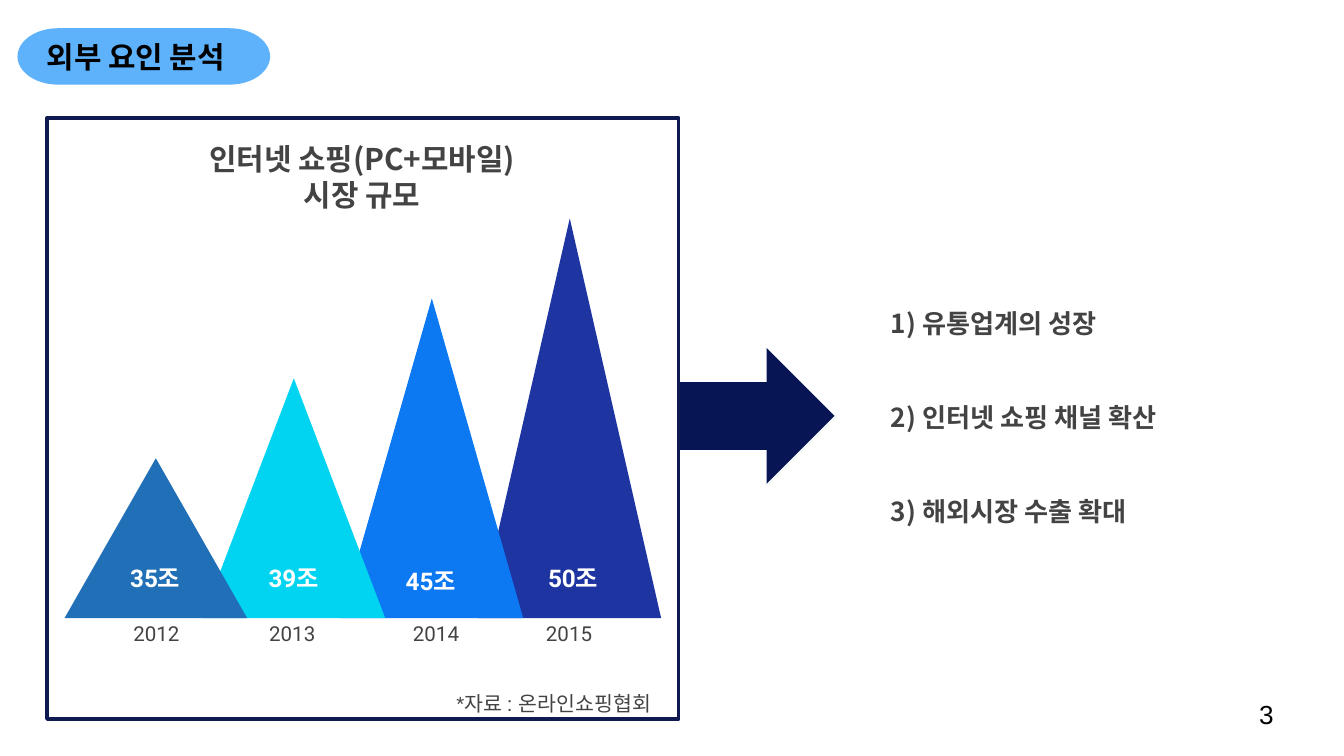
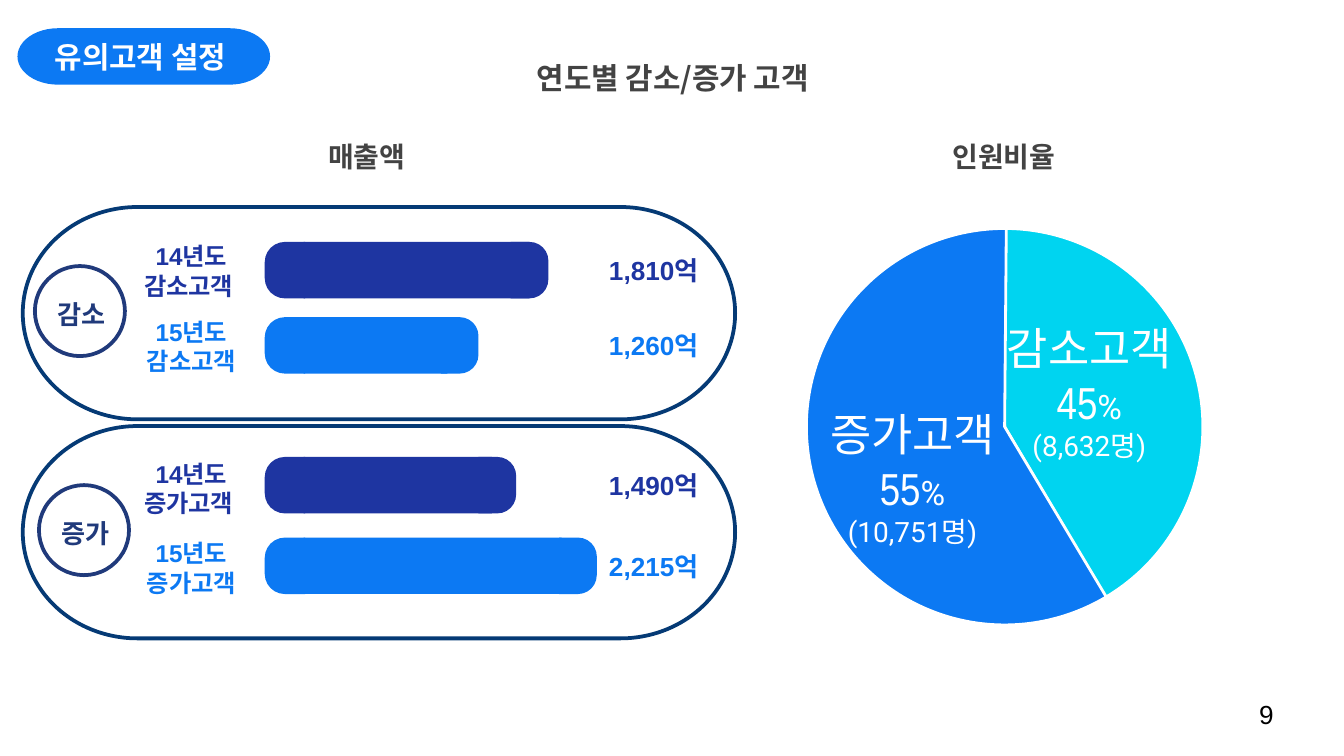
from dataclasses import dataclass

from pptx import Presentation
from pptx.dml.color import RGBColor
from pptx.enum.shapes import MSO_SHAPE as Preset
from pptx.enum.text import MSO_ANCHOR as Anchor, PP_ALIGN as Align
from pptx.oxml.ns import qn
from pptx.util import Inches, Pt


@dataclass(frozen=True)
class Theme:
    """Colours, fonts and type sizes used on every slide."""
    black: str = "000000"
    white: str = "FFFFFF"
    text: str = "434343"
    sky: str = "5EB2FC"
    steel: str = "2170B7"
    cyan: str = "00D4F0"
    blue: str = "0C79F3"
    indigo: str = "1E35A1"
    arrow: str = "071554"
    frame: str = "0F1A50"
    badge: str = "203A7B"
    capsule: str = "053A75"
    korean: str = "Noto Sans CJK KR"
    plain: str = "Arial"
    narrow: str = "Arial Narrow"
    modern: str = "Roboto"
    title: int = 16
    heading: int = 15
    body: int = 14
    label: int = 13
    small: int = 11
    large: int = 24
    percent: int = 18
    leading: float = 1.2


THEME = Theme()


@dataclass(frozen=True)
class Box:
    """A rectangle in inches."""
    left: float
    top: float
    width: float
    height: float

    def inner(self, left, top, width, height):
        """Return a box placed relative to this one."""
        return Box(self.left + left, self.top + top, width, height)

    def lengths(self):
        """Return the four lengths as slide units."""
        return [Inches(n) for n in (self.left, self.top, self.width, self.height)]


def add_shape(slide, preset, box, fill=None, line=None, weight=2, adjust=(), rotation=0):
    """Add a preset shape with the given fill and outline."""
    shape = slide.shapes.add_shape(preset, *box.lengths())
    shape.shadow.inherit = False
    shape.rotation = rotation
    for index, value in enumerate(adjust):
        shape.adjustments[index] = value
    if fill:
        shape.fill.solid()
        shape.fill.fore_color.rgb = RGBColor.from_string(fill)
    else:
        shape.fill.background()
    if line:
        shape.line.color.rgb = RGBColor.from_string(line)
        shape.line.width = Pt(weight)
    else:
        shape.line.fill.background()
    return shape


def style_run(run, size, font, color, bold):
    """Format one run, with the Korean font for its Hangul."""
    run.font.size = Pt(size)
    run.font.name = font
    run.font.bold = bold
    run.font.color.rgb = RGBColor.from_string(color)
    properties = run.font._element
    east_asian = properties.makeelement(qn("a:ea"), {"typeface": THEME.korean})
    properties.find(qn("a:latin")).addnext(east_asian)


def add_text(slide, box, text, size, color=THEME.text, font=THEME.korean,
             bold=True, align=Align.CENTER, anchor=Anchor.MIDDLE, gap=0):
    """Add a text box whose paragraphs share one format."""
    frame = slide.shapes.add_textbox(*box.lengths()).text_frame
    frame.word_wrap = True
    frame.vertical_anchor = anchor
    if anchor == Anchor.MIDDLE:
        frame.margin_top = frame.margin_bottom = Inches(0.1)
    frame.text = text
    for index, paragraph in enumerate(frame.paragraphs):
        paragraph.alignment = align
        paragraph.line_spacing = Pt(size * THEME.leading)
        if index and gap:
            paragraph.space_before = Pt(gap)
        for run in paragraph.runs:
            style_run(run, size, font, color, bold)
    return frame


def new_slide(presentation, title, number, fill, color, indent):
    """Add a blank slide with its title pill and page number."""
    slide = presentation.slides.add_slide(presentation.slide_layouts[6])
    pill = Box(0.13, 0.21, 1.88, 0.42)
    add_shape(slide, Preset.FLOWCHART_TERMINATOR, pill, fill)
    add_text(slide, pill.inner(indent, 0.03, 1.72, 0.37), title, THEME.title, color,
             align=Align.LEFT, anchor=Anchor.TOP)
    add_text(slide, Box(9.27, 5.1, 0.6, 0.43), str(number), THEME.body, THEME.black,
             THEME.plain, False, Align.LEFT)
    return slide


def draw_market(slide, box):
    """Draw the framed market size panel with one triangle a year."""
    add_text(slide, box.inner(0.71, 0.28, 3.27, 0.31),
             "인터넷 쇼핑(PC+모바일)\n시장 규모", THEME.title)
    peaks = [("2012", "35조", THEME.steel, 0.43, 0.42, 3.31),
             ("2013", "39조", THEME.cyan, 1.44, 1.45, 3.31),
             ("2014", "45조", THEME.blue, 2.51, 2.47, 3.33),
             ("2015", "50조", THEME.indigo, 3.5, 3.53, 3.31)]
    base = 3.72
    for index, peak in reversed(list(enumerate(peaks))):
        height = 1.19 * (1 + index / 2)
        add_shape(slide, Preset.ISOSCELES_TRIANGLE,
                  box.inner(0.13 + 3.08 * index / 3, base - height, 1.36, height), peak[2])
    for year, value, _, year_left, value_left, value_top in peaks:
        add_text(slide, box.inner(year_left, base, 0.77, 0.22), year, THEME.small,
                 font=THEME.modern, bold=False)
        add_text(slide, box.inner(value_left, value_top, 0.77, 0.22), value, THEME.label,
                 THEME.white, THEME.modern)
    add_text(slide, box.inner(2.86, 4.24, 1.82, 0.22), "*자료 : 온라인쇼핑협회",
             THEME.small, font=THEME.plain, bold=False)
    add_shape(slide, Preset.RIGHT_ARROW, box.inner(box.width, 1.71, 1.16, 1.01), THEME.arrow)
    add_shape(slide, Preset.RECTANGLE, box, line=THEME.frame)


def draw_findings(slide, box):
    """Write the numbered findings."""
    findings = ["유통업계의 성장", "인터넷 쇼핑 채널 확산", "해외시장 수출 확대"]
    text = "\n".join(f"{n}) {finding}" for n, finding in enumerate(findings, 1))
    add_text(slide, box, text, THEME.body, align=Align.LEFT,
             gap=2 * THEME.body * THEME.leading)


def draw_bar(slide, box, body, color):
    """Draw a bar as a straight body with two rounded ends."""
    add_shape(slide, Preset.RECTANGLE, box.inner(0.29, 0, body, box.height), color)
    for left, cap, rotation in ((0, 0.3, 270), (box.width - 0.28, 0.28, 90)):
        turned = (box.height - cap) / 2
        add_shape(slide, Preset.ROUND_2_SAME_RECTANGLE,
                  box.inner(left - turned, turned, box.height, cap),
                  color, adjust=(0.5, 0), rotation=rotation)


def draw_sales(slide, box, name, badge_left, badge_top, rows):
    """Draw one capsule with its badge and a bar for each year."""
    for color, row in zip((THEME.indigo, THEME.blue), rows):
        top, label_top, label, value, body, width = row
        draw_bar(slide, box.inner(1.8, top, width, 0.42), body, color)
        add_text(slide, box.inner(4.23, top + 0.04, 0.93, 0.34), value, THEME.body,
                 color, THEME.plain)
        add_text(slide, box.inner(0.79, label_top, 0.93, 0.29), label, THEME.label,
                 color, THEME.plain)
    badge = box.inner(badge_left, badge_top, 0.67, 0.67)
    add_shape(slide, Preset.OVAL, badge, line=THEME.badge)
    add_text(slide, badge.inner(0.03, 0.19, 0.63, 0.32), name, THEME.body, THEME.badge,
             anchor=Anchor.TOP)
    add_shape(slide, Preset.FLOWCHART_TERMINATOR, box, line=THEME.capsule)


def draw_share(slide, box):
    """Draw the two pie sectors and their labels."""
    sectors = [(THEME.cyan, (161.739, 35.625), (1.22, 1.02, 1.77, 0.38),
                "감소고객", "45", "(8,632명)"),
               (THEME.blue, (35.495, 162.292), (-0.39, 1.66, 2.36, 0.38),
                "증가고객", "55", "(10,751명)")]
    for color, angles, *_ in sectors:
        add_shape(slide, Preset.PIE, box, color, THEME.white, 1.5, angles)
    for _, _, place, name, percent, people in sectors:
        frame = add_text(slide, box.inner(*place), f"{name}\n{percent}\n{people}",
                         THEME.large, THEME.white, THEME.narrow, False)
        _, middle, last = frame.paragraphs
        sign = middle.add_run()
        sign.text = "%"
        style_run(sign, THEME.percent, THEME.modern, THEME.white, False)
        last.line_spacing = Pt(THEME.heading * THEME.leading)
        last.runs[0].font.size = Pt(THEME.heading)
        last.runs[0].font.name = THEME.modern


def build_market_slide(presentation):
    """Build the external factors slide."""
    slide = new_slide(presentation, "외부 요인 분석", 3, THEME.sky, THEME.black, 0.12)
    draw_findings(slide, Box(6.53, 1.86, 3.24, 2.49))
    draw_market(slide, Box(0.35, 0.88, 4.7, 4.47))


def build_customer_slide(presentation):
    """Build the customer comparison slide."""
    slide = new_slide(presentation, "유의고객 설정", 9, THEME.blue, THEME.white, 0.18)
    add_text(slide, Box(2.73, 0.42, 4.55, 0.31), "연도별 감소/증가 고객", THEME.title)
    for left, heading in ((2.05, "매출액"), (6.79, "인원비율")):
        add_text(slide, Box(left, 1.01, 1.36, 0.31), heading, THEME.heading)
    draw_sales(slide, Box(0.17, 1.54, 5.3, 1.58), "감소", 0.09, 0.44,
               [(0.26, 0.33, "14년도\n감소고객 ", "1,810억", 1.68, 2.11),
                (0.82, 0.89, "15년도\n감소고객", "1,260억", 1.07, 1.59)])
    draw_sales(slide, Box(0.17, 3.17, 5.3, 1.58), "증가", 0.12, 0.44,
               [(0.23, 0.32, "14년도\n증가고객 ", "1,490억", 1.4, 1.87),
                (0.83, 0.91, "15년도\n증가고객", "2,215억", 1.92, 2.47)])
    draw_share(slide, Box(6, 1.7, 2.95, 2.95))


def main():
    """Build and save the presentation."""
    presentation = Presentation()
    presentation.slide_width = Inches(10)
    presentation.slide_height = Inches(10) * 9 // 16
    build_market_slide(presentation)
    build_customer_slide(presentation)
    presentation.save("out.pptx")


main()
